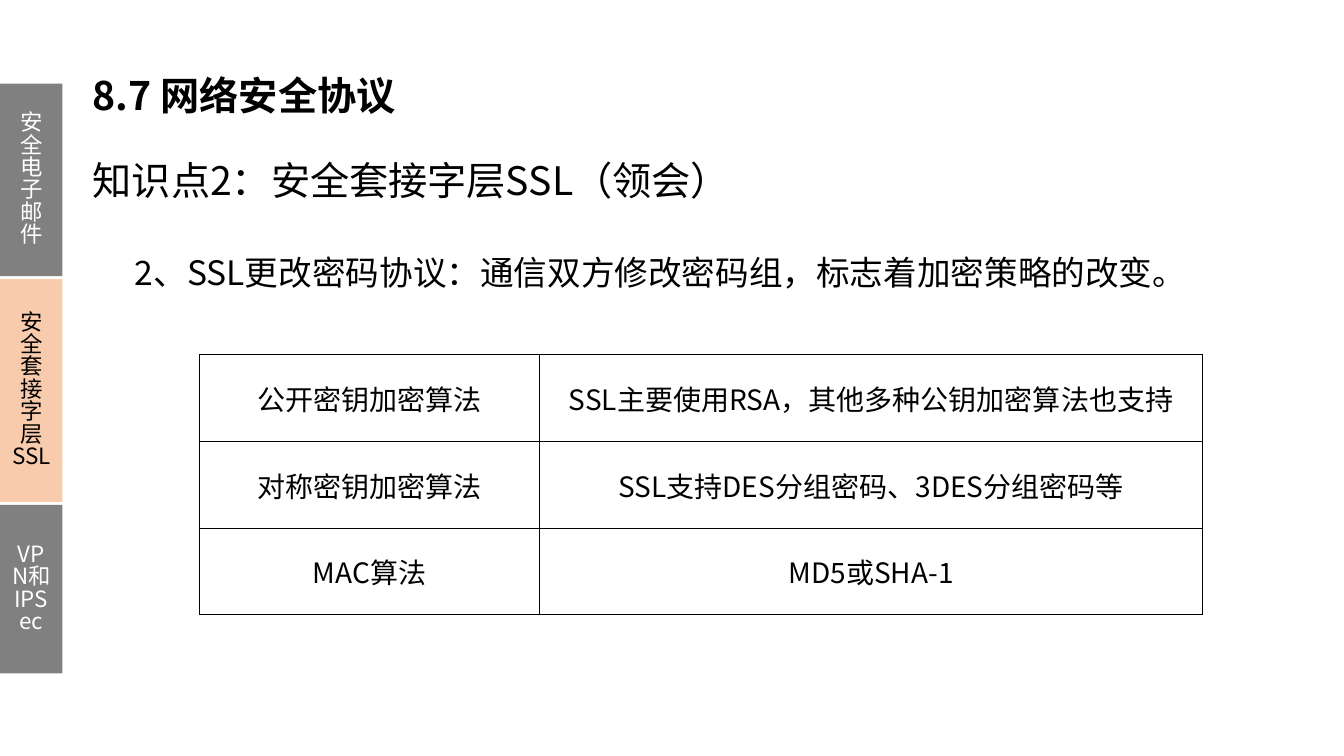
"""Build the slide on the SSL change cipher spec protocol."""
from lxml.etree import SubElement
from pptx import Presentation
from pptx.dml.color import RGBColor
from pptx.enum.shapes import MSO_SHAPE as SHAPE
from pptx.enum.text import MSO_ANCHOR as ANCHOR, MSO_AUTO_SIZE as AUTO, PP_ALIGN as ALIGN
from pptx.oxml import parse_xml
from pptx.oxml.ns import nsdecls, qn
from pptx.util import Inches, Pt

FONT = "Noto Sans CJK SC"
COLORS = {"black": "000000", "white": "FFFFFF", "gray": "808080", "peach": "F8CBAD"}

TITLE = "8.7 网络安全协议"
TOPIC = "知识点2：安全套接字层SSL（领会）"
POINT = "2、SSL更改密码协议：通信双方修改密码组，标志着加密策略的改变。"
ALGORITHMS = [
    ("公开密钥加密算法", "SSL主要使用RSA，其他多种公钥加密算法也支持"),
    ("对称密钥加密算法", "SSL支持DES分组密码、3DES分组密码等"),
    ("MAC算法", "MD5或SHA-1"),
]
COLUMNS = [3.37, 6.58]
ROW_HEIGHT = 0.86
TABS = [
    ("安全电子邮件", 1.91, "gray", "white"),
    ("安全套接字层SSL", 2.21, "peach", "black"),
    ("VPN和IPSec", 1.67, "gray", "white"),
]
TAB_TOP, TAB_WIDTH, TAB_GAP = 0.83, 0.62, 0.03
HEADING_FRAME = {
    "margin_left": Inches(0.12), "margin_right": Inches(0.12),
    "margin_top": Inches(0.06), "margin_bottom": Inches(0.06),
}


def rgb(name):
    return RGBColor.from_string(COLORS[name])


def apply(target, values):
    for name, value in values.items():
        setattr(target, name, value)


def write(tf, text, size, color="black", bold=False, frame=None, **para):
    apply(tf, {"word_wrap": True, **(frame or {})})
    p = tf.paragraphs[0]
    apply(p, para)
    r = p.add_run()
    r.text = text
    apply(r.font, {"name": FONT, "size": Pt(size), "bold": bold})
    r.font.color.rgb = rgb(color)
    SubElement(r.font._element, qn("a:ea"), typeface=FONT)


def place(sp, *box):
    apply(sp, dict(zip(("left", "top", "width", "height"), map(Inches, box))))


def add_text(slide, box, *args, **kwargs):
    tb = slide.shapes.add_textbox(*map(Inches, box))
    write(tb.text_frame, *args, **kwargs)


def add_algorithms(slide):
    frame = slide.shapes.add_table(
        len(ALGORITHMS), len(COLUMNS), Inches(1.98), Inches(3.52),
        Inches(sum(COLUMNS)), Inches(ROW_HEIGHT * len(ALGORITHMS)))
    table = frame.table
    apply(table, {"first_row": False, "horz_banding": False})
    for column, width in zip(table.columns, COLUMNS):
        column.width = Inches(width)
    for row, texts in zip(table.rows, ALGORITHMS):
        row.height = Inches(ROW_HEIGHT)
        for cell, text in zip(row.cells, texts):
            cell.vertical_anchor = ANCHOR.MIDDLE
            cell.fill.background()
            write(cell.text_frame, text, 20, alignment=ALIGN.CENTER)
            for i, side in enumerate(("lnL", "lnR", "lnT", "lnB")):
                cell._tc.tcPr.insert(i, parse_xml(
                    f'<a:{side} {nsdecls("a")} w="{Pt(1)}"><a:solidFill>'
                    f'<a:srgbClr val="{COLORS["black"]}"/></a:solidFill></a:{side}>'))


def add_tabs(slide):
    group = slide.shapes.add_group_shape()
    top = TAB_TOP
    for text, height, fill, color in TABS:
        sp = group.shapes.add_shape(
            SHAPE.RECTANGLE, 0, Inches(top), Inches(TAB_WIDTH), Inches(height))
        sp.shadow.inherit = False
        sp.fill.solid()
        sp.fill.fore_color.rgb = rgb(fill)
        sp.line.fill.background()
        write(sp.text_frame, text, 16, color, frame={"vertical_anchor": ANCHOR.MIDDLE},
              alignment=ALIGN.CENTER, line_spacing=Pt(16))
        top += height + TAB_GAP


def main():
    prs = Presentation()
    apply(prs, {"slide_width": Inches(13.33), "slide_height": Inches(7.5)})
    slide = prs.slides.add_slide(prs.slide_layouts[5])
    title = slide.shapes.title
    place(title, 0.8, 0.65, 9.65, 0.59)
    write(title.text_frame, TITLE, 28, bold=True, alignment=ALIGN.LEFT,
          frame={**HEADING_FRAME, "vertical_anchor": ANCHOR.TOP, "auto_size": AUTO.NONE})
    add_text(slide, (0.8, 1.15, 12.16, 1.04), TOPIC, 28, line_spacing=1.5,
             frame={**HEADING_FRAME, "vertical_anchor": ANCHOR.MIDDLE})
    add_text(slide, (1.24, 2.34, 10.94, 0.62), POINT, 24, line_spacing=Pt(37))
    add_algorithms(slide)
    add_tabs(slide)
    prs.save("out.pptx")


if __name__ == "__main__":
    main()
